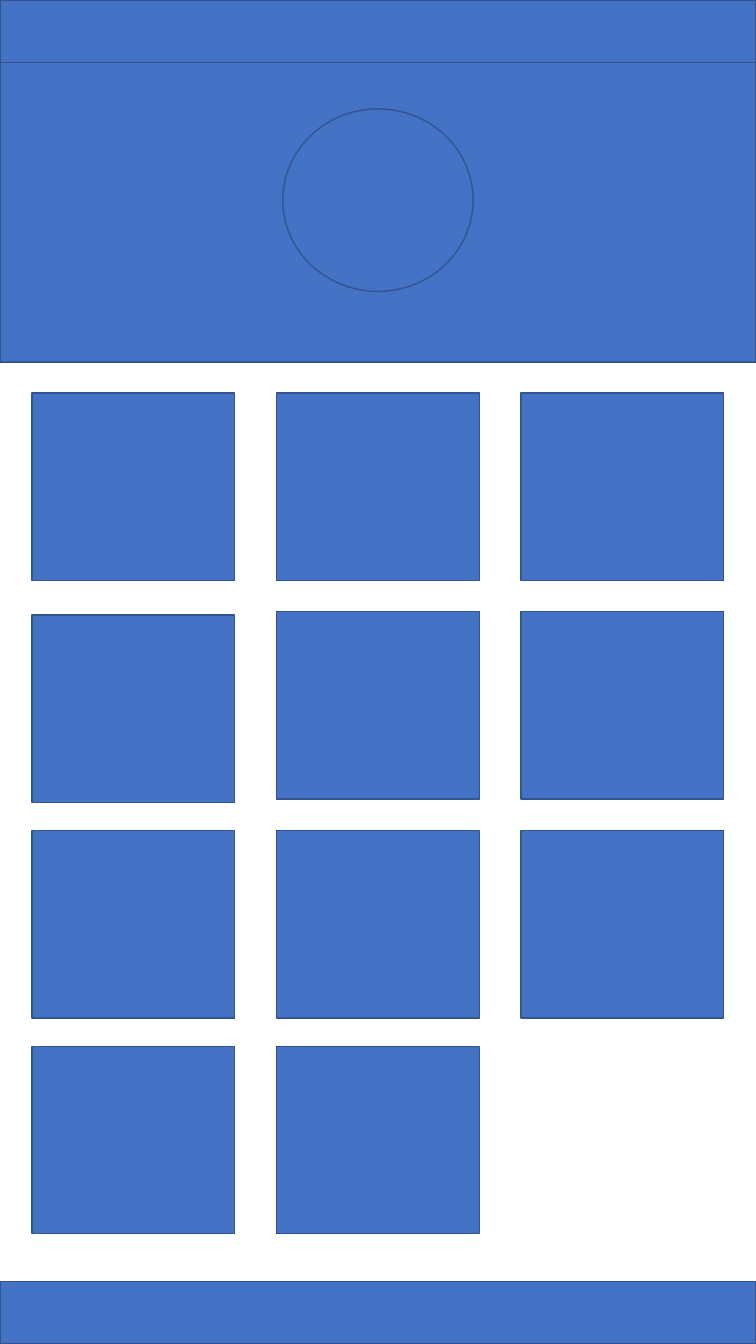
from dataclasses import dataclass

from pptx import Presentation
from pptx.dml.color import RGBColor
from pptx.enum.shapes import MSO_SHAPE
from pptx.util import Pt

RECTANGLE = MSO_SHAPE.RECTANGLE
OVAL = MSO_SHAPE.OVAL


@dataclass(frozen=True)
class Theme:
    """Colours and line width shared by all shapes."""
    fill: RGBColor = RGBColor(0x44, 0x72, 0xC4)
    outline: RGBColor = RGBColor(0x32, 0x54, 0x91)
    outline_width: float = 1


theme = Theme()
PAGE_WIDTH, PAGE_HEIGHT = 540, 960
BAR_HEIGHT = 44.6

deck = Presentation()
deck.slide_width = Pt(PAGE_WIDTH)
deck.slide_height = Pt(PAGE_HEIGHT)
page = deck.slides.add_slide(deck.slide_layouts[6])


def add_block(kind, left, top, width, height):
    """Add a filled, outlined shape; lengths are in points."""
    block = page.shapes.add_shape(kind, Pt(left), Pt(top), Pt(width), Pt(height))
    block.shadow.inherit = False
    block.fill.solid()
    block.fill.fore_color.rgb = theme.fill
    block.line.color.rgb = theme.outline
    block.line.width = Pt(theme.outline_width)


# Banner, header bar and the round emblem in the banner
add_block(RECTANGLE, 0, BAR_HEIGHT, PAGE_WIDTH, 214)
add_block(RECTANGLE, 0, 0, PAGE_WIDTH, BAR_HEIGHT)
emblem_width = 136
add_block(OVAL, (PAGE_WIDTH - emblem_width) / 2, 77.8, emblem_width, 130.3)

# Tile grid: three columns, with the last row one tile short
TILE_WIDTH, TILE_HEIGHT = 144.7, 133.9
GRID_LEFT, COLUMN_STEP = 23, 174.6
COLUMNS, TILE_COUNT = 3, 11
row_tops = [280.8, 437, 593.3, 747.4]
top_offsets = {(1, 0): 2.2}  # the first tile of the second row sits lower

for index in range(TILE_COUNT):
    row, column = divmod(index, COLUMNS)
    tile_left = GRID_LEFT + column * COLUMN_STEP
    tile_top = row_tops[row] + top_offsets.get((row, column), 0)
    add_block(RECTANGLE, tile_left, tile_top, TILE_WIDTH, TILE_HEIGHT)

# Footer bar
add_block(RECTANGLE, 0, PAGE_HEIGHT - BAR_HEIGHT, PAGE_WIDTH, BAR_HEIGHT)

deck.save("out.pptx")
